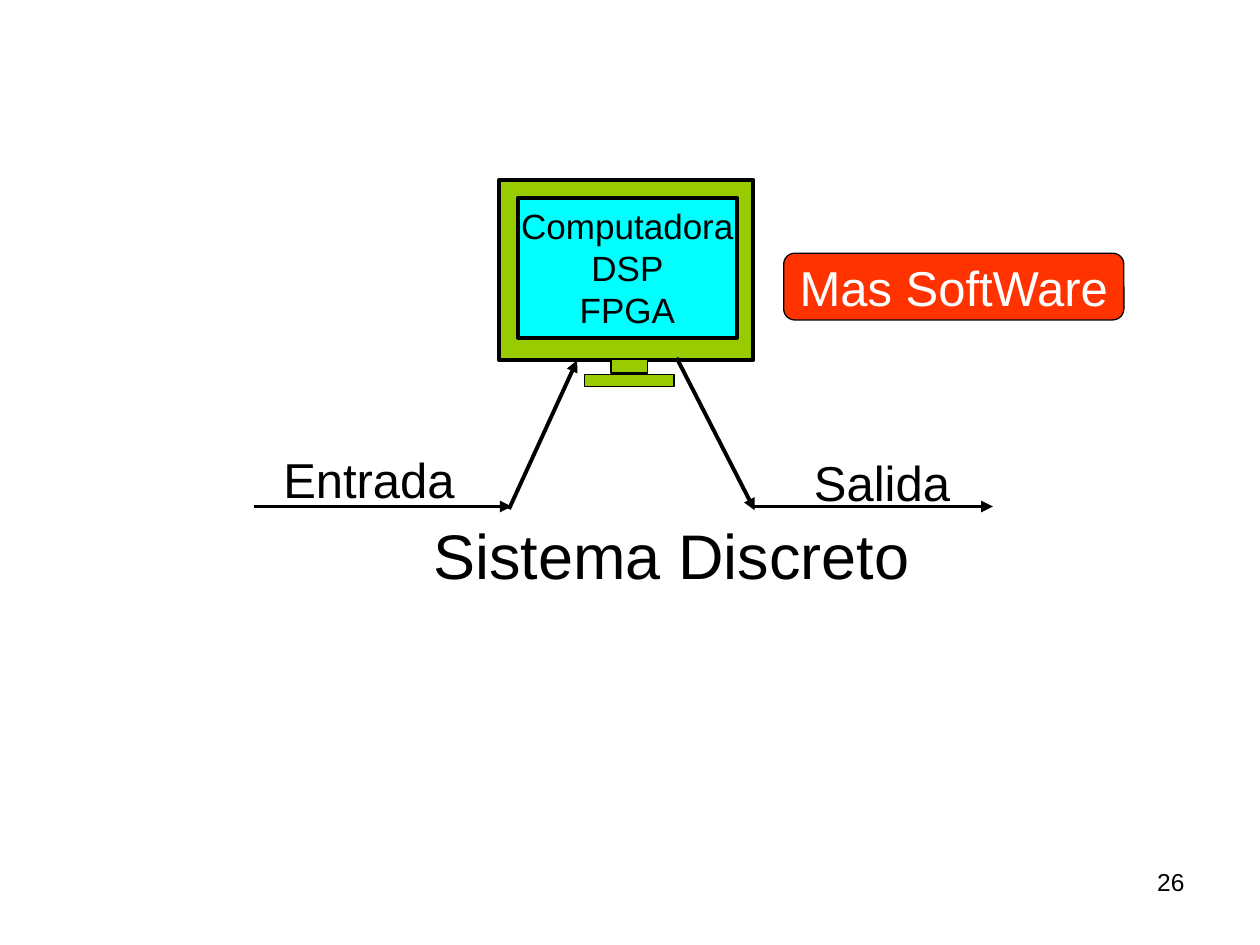
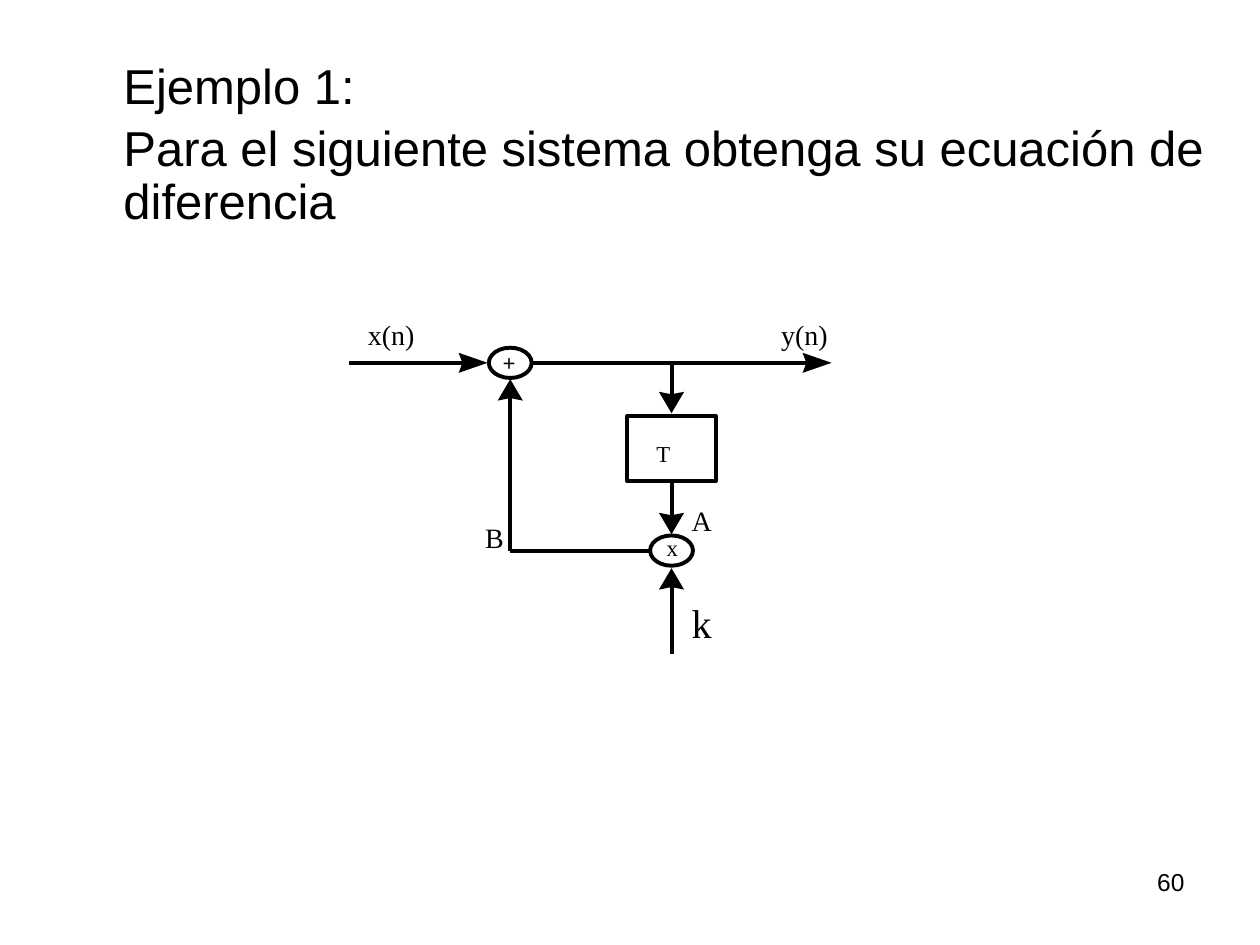
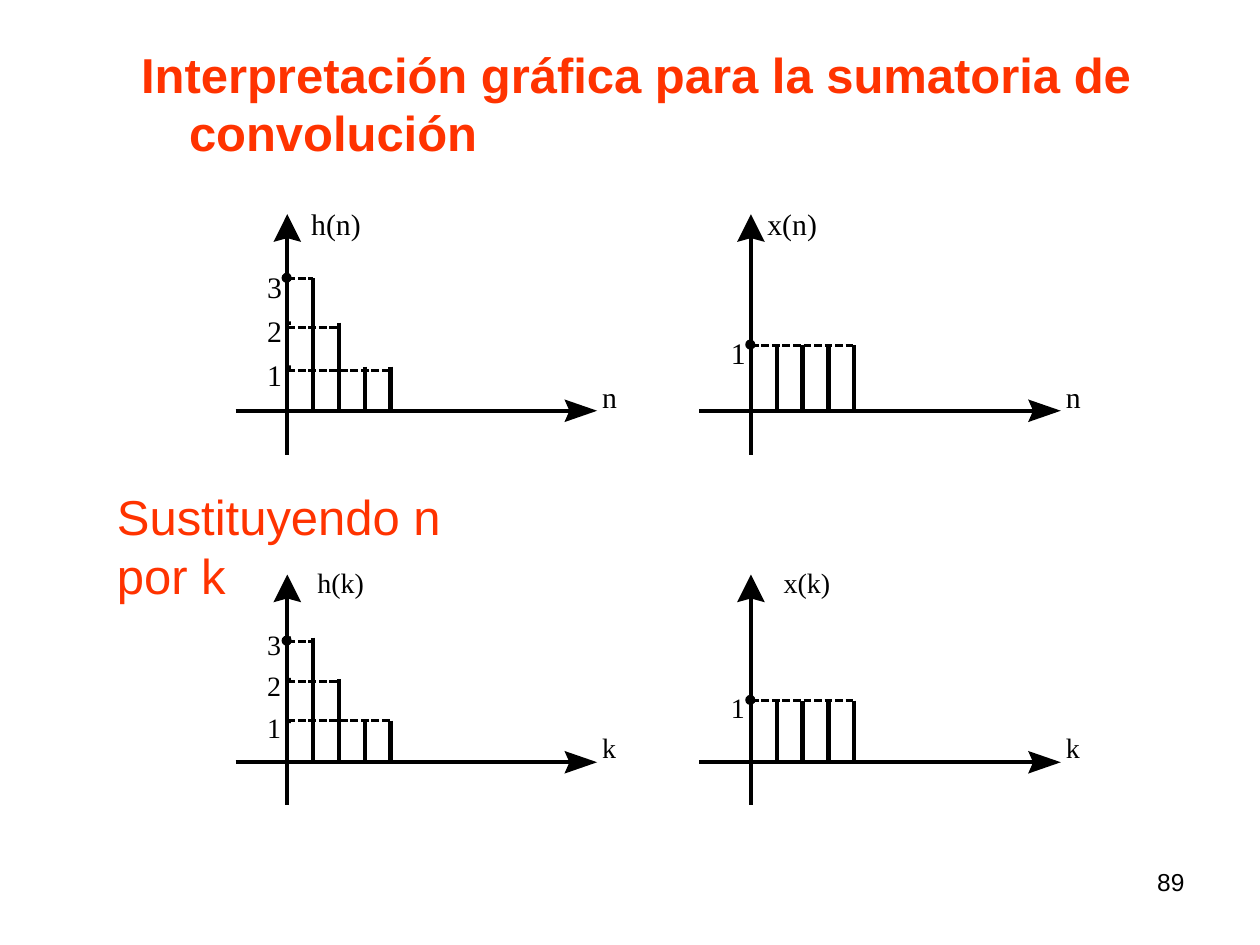
from lxml import etree
from pptx import Presentation
from pptx.dml.color import RGBColor
from pptx.enum.dml import MSO_LINE
from pptx.enum.shapes import MSO_CONNECTOR, MSO_SHAPE
from pptx.enum.text import MSO_ANCHOR, MSO_AUTO_SIZE, PP_ALIGN
from pptx.oxml.ns import qn
from pptx.util import Inches, Pt

RECT, OVAL, ROUND = MSO_SHAPE.RECTANGLE, MSO_SHAPE.OVAL, MSO_SHAPE.ROUNDED_RECTANGLE
STRAIGHT, DASH = MSO_CONNECTOR.STRAIGHT, MSO_LINE.SQUARE_DOT
LEFT, CENTER, RIGHT = PP_ALIGN.LEFT, PP_ALIGN.CENTER, PP_ALIGN.RIGHT
TOP, MIDDLE = MSO_ANCHOR.TOP, MSO_ANCHOR.MIDDLE
FIXED = MSO_AUTO_SIZE.NONE

COLORS = {"ink": "000000", "white": "FFFFFF", "green": "99CC00",
          "cyan": "00FFFF", "red": "FF3300"}
SANS, SERIF = "Arial", "Times New Roman"
TITLE_ONLY = 5
PAD = (0.1, 0.05)
STEP = 0.205  # distance between stems


def rgb(name):
    return RGBColor.from_string(COLORS[name])


def write(shape, text, size, color="ink", font=SANS, bold=False, align=LEFT,
          anchor=TOP, pad=(0, 0), wrap=True):
    frame = shape.text_frame
    frame.text = text
    frame.auto_size = FIXED
    frame.word_wrap = wrap
    frame.vertical_anchor = anchor
    frame.margin_left = frame.margin_right = Inches(pad[0])
    frame.margin_top = frame.margin_bottom = Inches(pad[1])
    for par in frame.paragraphs:
        par.alignment = align
        for run in par.runs:
            run.font.name, run.font.size = font, Pt(size)
            run.font.bold = bold
            run.font.color.rgb = rgb(color)
    return frame


def label(slide, text, at, size, **style):
    shape = slide.shapes.add_textbox(*map(Inches, at))
    return write(shape, text, size, **style)


def sign(slide, text, x, y, size, bold=False):
    """Short serif text of a diagram, with no margins."""
    label(slide, text, (x, y, 0.6, 0.33), size, font=SERIF, bold=bold, wrap=False)


def title(slide, text, at, size, **style):
    shape = slide.shapes.title
    shape.left, shape.top, shape.width, shape.height = map(Inches, at)
    return write(shape, text, size, **style)


def box(slide, kind, at, fill=None, width=2.25):
    shape = slide.shapes.add_shape(kind, *map(Inches, at))
    shape.shadow.inherit = False
    if fill:
        shape.fill.solid()
        shape.fill.fore_color.rgb = rgb(fill)
    else:
        shape.fill.background()
    if width:
        shape.line.color.rgb = rgb("ink")
        shape.line.width = Pt(width)
    else:
        shape.line.fill.background()
    return shape


def line(slide, start, end, width=2.25, dash=None, arrow=False):
    wire = slide.shapes.add_connector(STRAIGHT, *map(Inches, start + end))
    wire.line.color.rgb = rgb("ink")
    wire.line.width = Pt(width)
    if dash:
        wire.line.dash_style = dash
    props = wire._element.spPr
    if arrow:
        etree.SubElement(props.find(qn("a:ln")), qn("a:tailEnd"), type="triangle")
    etree.SubElement(props, qn("a:effectLst"))
    return wire


def head(slide, tip, way, size):
    """Notched arrowhead; way is a unit vector, size is length, half width, notch."""
    (x, y), (dx, dy), (long, half, notch) = tip, way, size

    def spot(back, side):
        return Inches(x - back * dx - side * dy), Inches(y - back * dy + side * dx)

    pen = slide.shapes.build_freeform(*spot(long, half))
    pen.add_line_segments([spot(long - notch, 0), spot(long, -half), spot(0, 0)])
    shape = pen.convert_to_shape()
    shape.shadow.inherit = False
    shape.fill.solid()
    shape.fill.fore_color.rgb = rgb("ink")
    shape.line.fill.background()


def flow(slide, start, tip, way):
    """Line of the block diagram that ends in a notched head."""
    size = (0.23, 0.08, 0.03) if way[0] else (0.17, 0.1, 0.02)
    end = tuple(t - 0.14 * w for t, w in zip(tip, way))
    wire = line(slide, start, end)
    head(slide, tip, way, size)
    return wire


def plot(slide, x, row, stems, unit, rungs, name, gap):
    """Axes at x with stems in units; rungs are the dashed heights from 1 up."""
    top, base, foot, size, var = row
    line(slide, (x, top + 0.17), (x, foot), 2.5)
    head(slide, (x, top), (0, -1), (0.22, 0.11, 0.03))
    line(slide, (x - 0.41, base), (x + 2.28, base), 2.5)
    head(slide, (x + 2.46, base), (1, 0), (0.26, 0.09, 0.04))
    for i, stem in enumerate(stems, 1):
        line(slide, (x + i * STEP, base - stem * unit), (x + i * STEP, base + 0.01), 2.5)
    for level, rung in enumerate(rungs, 1):
        y = base - level * unit
        last = sum(stem >= level for stem in stems)
        sign(slide, str(level), x - 0.16, y - 0.08, size)
        box(slide, RECT, (x, y - 0.01, 0.03, 0.03), "ink", 0)
        line(slide, (x, rung), (x + last * STEP, rung), 1.5, DASH)
    box(slide, OVAL, (x - 0.04, rungs[-1] - 0.04, 0.07, 0.07), "ink", 0.75)
    sign(slide, f"{name}({var})", x + gap, top - 0.07, size)
    sign(slide, var, x + 2.5, base - 0.25, size)


def page(deck, number):
    slide = deck.slides.add_slide(deck.slide_layouts[TITLE_ONLY])
    label(slide, str(number), (7.17, 6.83, 2.33, 0.52), 14, align=RIGHT, pad=PAD)
    return slide


def system(deck):
    slide = page(deck, 26)
    box(slide, RECT, (3.96, 1.43, 2.02, 1.43), "green")
    screen = box(slide, RECT, (4.11, 1.57, 1.74, 1.11), "cyan")
    write(screen, "Computadora\nDSP\nFPGA", 20, align=CENTER, pad=(0, 0.05))
    box(slide, RECT, (4.64, 2.97, 0.71, 0.1), "green", 0.75)
    box(slide, RECT, (4.85, 2.85, 0.29, 0.11), "green", 0.75)
    for start, end in (((5.98, 4.02), (7.88, 4.02)), ((2.02, 4.02), (4.06, 4.02)),
                       ((4.04, 4.04), (4.58, 2.86)), ((5.37, 2.84), (5.99, 4.05))):
        line(slide, start, end, arrow=True)
    label(slide, "Entrada", (2.15, 3.52, 1.83, 0.57), 28, pad=PAD)
    label(slide, "Salida", (6.46, 3.54, 1.29, 0.57), 28, pad=(0, 0.05))
    title(slide, "Sistema Discreto", (3.44, 4.1, 3.81, 0.58), 36, wrap=False)
    badge = box(slide, ROUND, (6.22, 2.01, 2.7, 0.53), "red", 0.75)
    write(badge, "Mas SoftWare", 28, "white", align=CENTER, anchor=MIDDLE)


def example(deck):
    slide = page(deck, 60)
    frame = title(slide, "Ejemplo 1:\nPara el siguiente sistema obtenga su ecuación"
                  " de diferencia", (0.98, 0.49, 9.02, 1.37), 28)
    for par in frame.paragraphs:
        par.line_spacing = 0.9
    frame.paragraphs[1].space_before = Pt(5.6)

    right, down, up = (1, 0), (0, 1), (0, -1)
    sum_x, delay_x, main_y, back_y = 4.05, 5.33, 2.88, 4.37
    for x, y in ((sum_x, main_y), (delay_x, back_y)):
        box(slide, OVAL, (x - 0.17, y - 0.12, 0.34, 0.24))
    delay = box(slide, RECT, (delay_x - 0.35, 3.3, 0.7, 0.52))
    flow(slide, (2.77, main_y), (3.87, main_y), right)
    flow(slide, (4.23, main_y), (6.6, main_y), right)
    flow(slide, (delay_x, main_y), (delay_x, 3.28), down)
    flow(slide, (delay_x, 3.82), (delay_x, 4.24), down).begin_connect(delay, 2)
    flow(slide, (delay_x, 5.19), (delay_x, 4.51), up)
    flow(slide, (sum_x, back_y), (sum_x, 3.01), up)
    line(slide, (5.15, back_y), (sum_x, back_y))
    sign(slide, "+", 3.99, 2.77, 13, bold=True)
    for text, x, y, size in (("x(n)", 2.92, 2.52, 16), ("y(n)", 6.2, 2.52, 16),
                             ("T", 5.21, 3.49, 13), ("x", 5.29, 4.24, 13),
                             ("A", 5.49, 4, 16), ("B", 3.85, 4.13, 16),
                             ("k", 5.49, 4.75, 23)):
        sign(slide, text, x, y, size)


def graphs(deck):
    slide = page(deck, 89)
    frame = title(slide, "Interpretación gráfica para la sumatoria de convolución",
                  (1.02, 0.3, 8.48, 0.97), 28, color="red", bold=True, pad=PAD)
    props = frame.paragraphs[0]._p.get_or_add_pPr()
    props.set("marL", str(Inches(0.38)))
    props.set("indent", str(-Inches(0.38)))
    label(slide, "Sustituyendo n por k", (0.83, 3.81, 3.43, 0.57), 28,
          color="red", pad=PAD)

    upper = (1.7, 3.26, 3.61, 17, "n")
    lower = (4.56, 6.05, 6.39, 16, "k")
    fall, flat = (3, 2, 1, 1), (1, 1, 1, 1)
    plot(slide, 2.28, upper, fall, 0.35, (2.94, 2.6, 2.21), "h", 0.19)
    plot(slide, 5.96, upper, flat, 0.52, (2.74,), "x", 0.13)
    plot(slide, 2.28, lower, fall, 0.33, (5.72, 5.41, 5.09), "h", 0.24)
    plot(slide, 5.96, lower, flat, 0.49, (5.56,), "x", 0.26)


def main():
    deck = Presentation()
    deck.slide_width, deck.slide_height = Inches(10), Inches(7.5)
    system(deck)
    example(deck)
    graphs(deck)
    deck.save("out.pptx")


if __name__ == "__main__":
    main()
